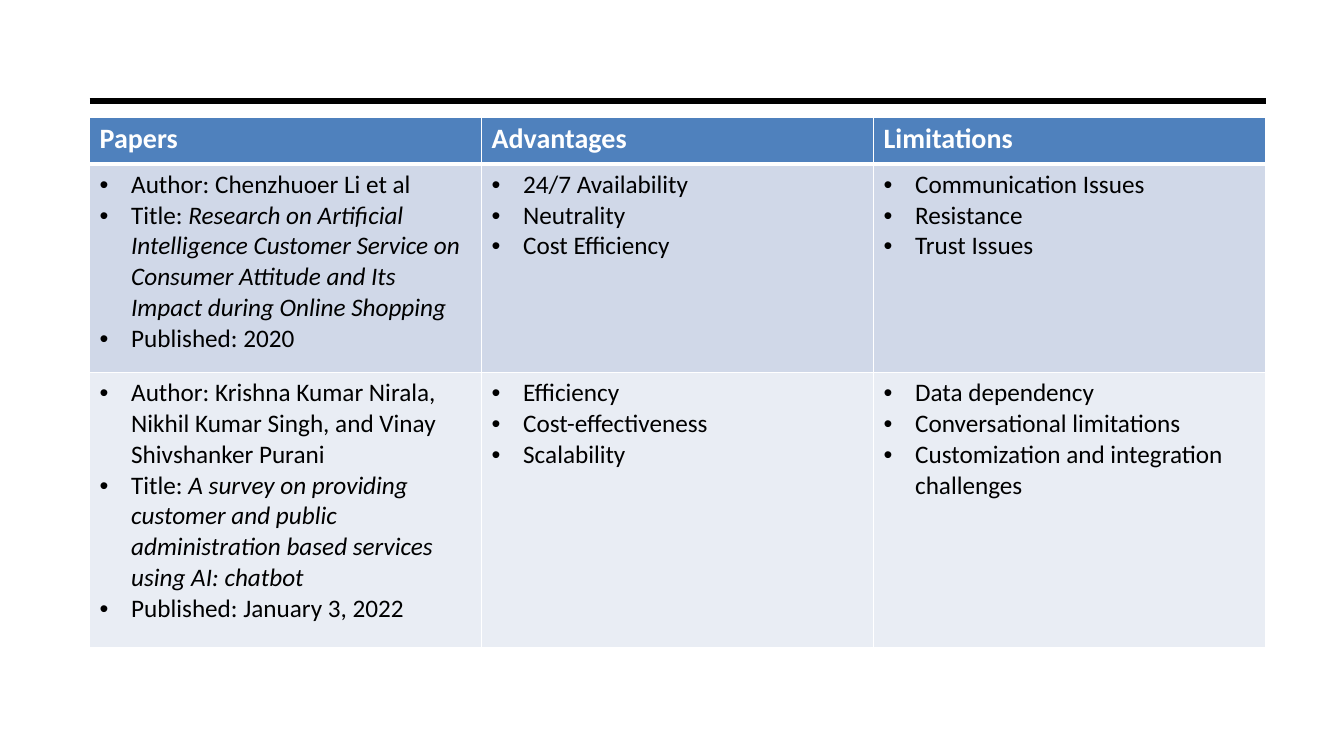
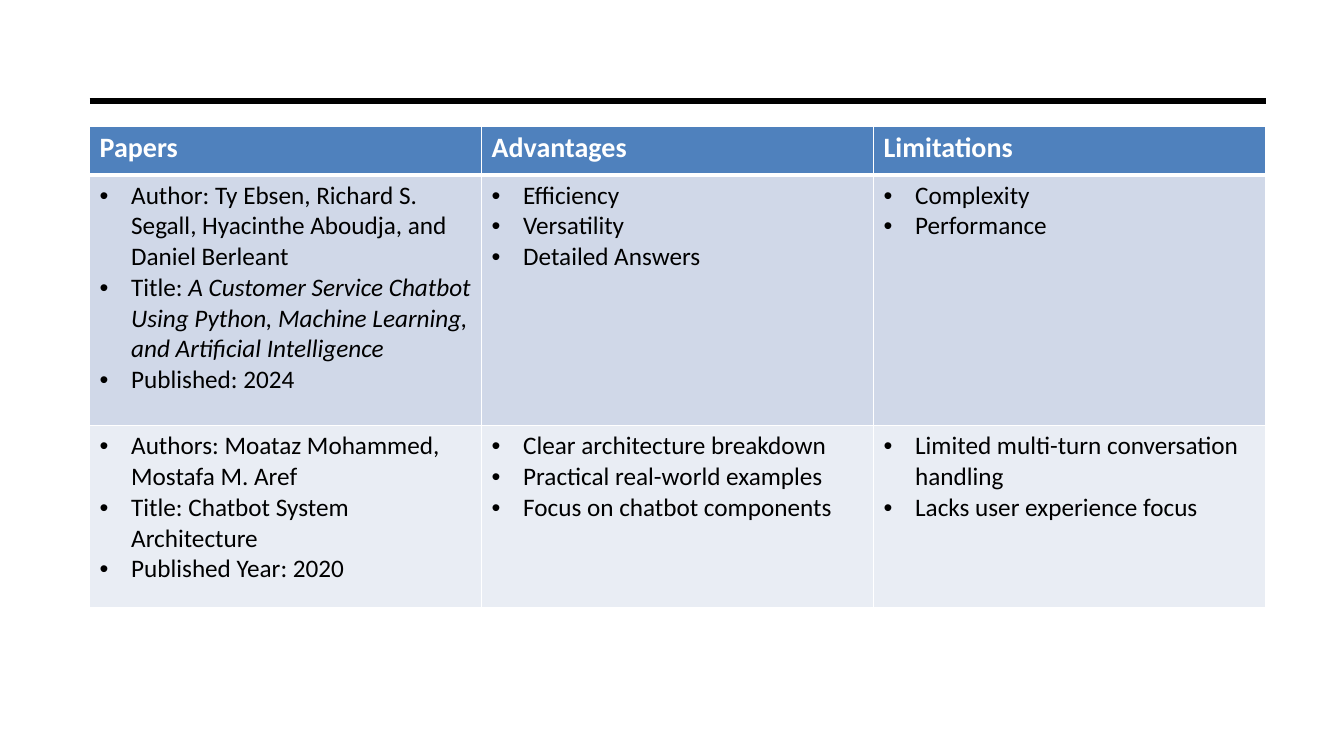
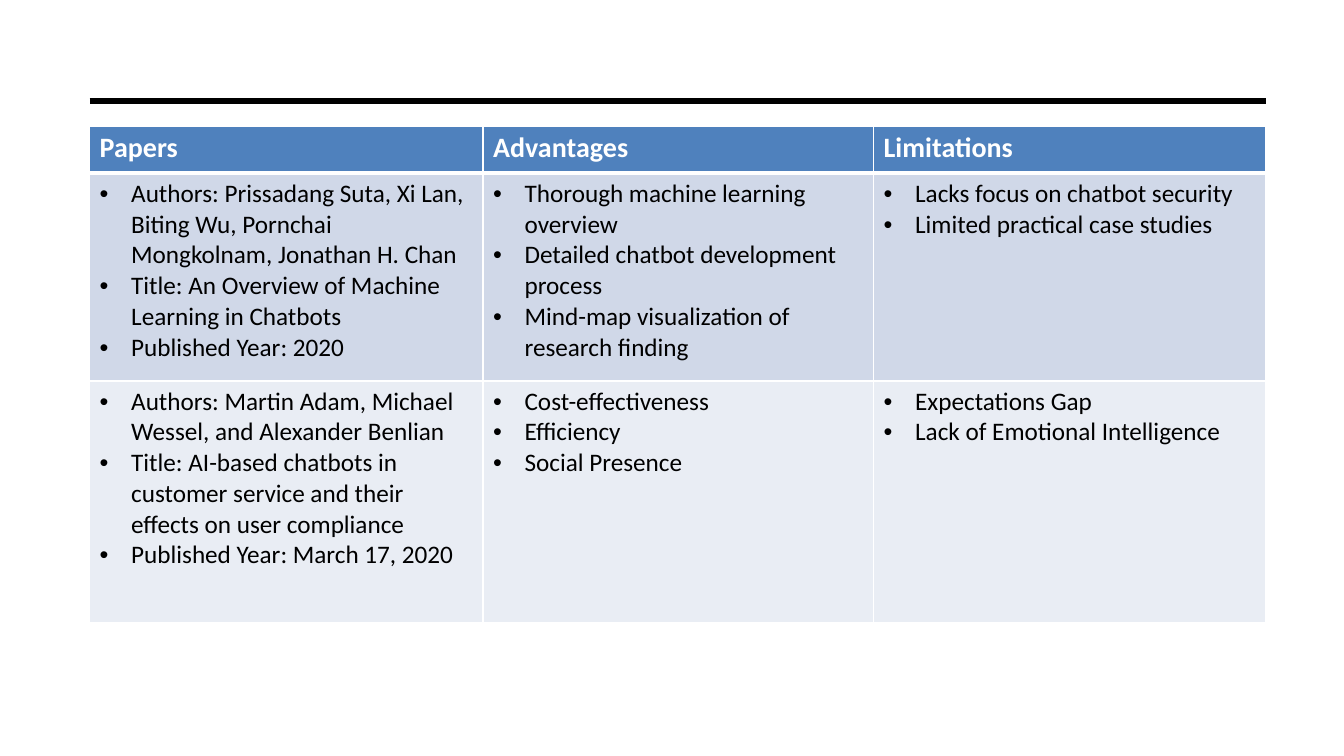
import pptx
import pptx.dml.color
import pptx.enum.shapes
import pptx.oxml
import pptx.oxml.ns
import pptx.util

Pt = pptx.util.Pt
RGBColor = pptx.dml.color.RGBColor

# Shared style
BLACK = RGBColor(0x00, 0x00, 0x00)
WHITE = RGBColor(0xFF, 0xFF, 0xFF)
HEADER_BLUE = RGBColor(0x4F, 0x81, 0xBD)
BAND_FILLS = (RGBColor(0xD0, 0xD8, 0xE8), RGBColor(0xE9, 0xED, 0xF4))
HEADER_FONT = {"name": "Calibri", "size": Pt(20), "bold": True, "italic": False}
BODY_FONT = {"name": "Calibri", "size": Pt(18), "bold": False, "italic": False}
LEFT, WIDTH, RULE_TOP = 64, 840, 72
BULLET_INDENT = 22.5
HEADINGS = ("Papers", "Advantages", "Limitations")


class SurveyDeck:
    """Holds the presentation, its style and the current slide."""

    def __init__(self):
        self.deck = pptx.Presentation()
        self.deck.slide_width, self.deck.slide_height = Pt(960), Pt(540)
        self.slide = None

    def new_slide(self):
        blank_layout = self.deck.slide_layouts[6]
        self.slide = self.deck.slides.add_slide(blank_layout)
        self.rule()

    def rule(self):
        rule = self.slide.shapes.add_connector(
            pptx.enum.shapes.MSO_CONNECTOR.STRAIGHT,
            Pt(LEFT), Pt(RULE_TOP), Pt(LEFT + WIDTH), Pt(RULE_TOP))
        rule.line.color.rgb = BLACK
        rule.line.width = Pt(4.5)
        rule._element.spPr.append(pptx.oxml.parse_xml(
            f"<a:effectLst {pptx.oxml.ns.nsdecls('a')}/>"))

    def run(self, paragraph, text, font_values, color):
        run = paragraph.add_run()
        run.text = text
        for attribute, value in font_values.items():
            setattr(run.font, attribute, value)
        run.font.color.rgb = color

    def cell_style(self, cell, fill, bottom_width=1):
        properties = cell._tc.get_or_add_tcPr()
        for side, width in (("L", 1), ("R", 1), ("T", 1), ("B", bottom_width)):
            properties.append(pptx.oxml.parse_xml(
                f"<a:ln{side} {pptx.oxml.ns.nsdecls('a')} w='{Pt(width)}'>"
                f"<a:solidFill><a:srgbClr val='{WHITE}'/></a:solidFill>"
                f"</a:ln{side}>"))
        cell.fill.solid()
        cell.fill.fore_color.rgb = fill

    def bullets(self, cell, items):
        """Each item is plain text, or a pair of plain and italic text."""
        frame = cell.text_frame
        for position, item in enumerate(items):
            paragraph = frame.add_paragraph() if position else frame.paragraphs[0]
            indent = paragraph._p.get_or_add_pPr()
            indent.set("marL", str(Pt(BULLET_INDENT)))
            indent.set("indent", str(-Pt(BULLET_INDENT)))
            for bullet in ("<a:buFont {} typeface='Arial'/>", "<a:buChar {} char='•'/>"):
                indent.append(pptx.oxml.parse_xml(
                    bullet.format(pptx.oxml.ns.nsdecls("a"))))
            plain, italic = (item, "") if isinstance(item, str) else item
            self.run(paragraph, plain, BODY_FONT, BLACK)
            if italic:
                self.run(paragraph, italic, {**BODY_FONT, "italic": True}, BLACK)

    def survey_table(self, top, row_heights, papers, column_widths=(280, 280, 280)):
        table = self.slide.shapes.add_table(
            len(row_heights), len(HEADINGS), Pt(LEFT), Pt(top),
            Pt(WIDTH), Pt(sum(row_heights))).table
        for column, width in zip(table.columns, column_widths):
            column.width = Pt(width)
        for row, height in zip(table.rows, row_heights):
            row.height = Pt(height)
        for column, heading in enumerate(HEADINGS):
            cell = table.cell(0, column)
            self.cell_style(cell, HEADER_BLUE, bottom_width=3)
            self.run(cell.text_frame.paragraphs[0], heading, HEADER_FONT, WHITE)
        for row, paper in enumerate(papers, start=1):
            for column, items in enumerate(paper):
                cell = table.cell(row, column)
                self.cell_style(cell, BAND_FILLS[(row - 1) % 2])
                self.bullets(cell, items)


survey = SurveyDeck()

# Slide 1: customer service and public administration
survey.new_slide()
survey.survey_table(83.5, (33.8, 149, 196.6), [
    (["Author: Chenzhuoer Li et al",
      ("Title: ", "Research on Artificial Intelligence Customer Service on "
                  "Consumer Attitude and Its Impact during Online Shopping"),
      "Published: 2020"],
     ["24/7 Availability", "Neutrality", "Cost Efficiency"],
     ["Communication Issues", "Resistance", "Trust Issues"]),
    (["Author: Krishna Kumar Nirala, Nikhil Kumar Singh, and Vinay Shivshanker Purani",
      ("Title: ", "A survey on providing customer and public administration "
                  "based services using AI: chatbot"),
      "Published: January 3, 2022"],
     ["Efficiency", "Cost-effectiveness", "Scalability"],
     ["Data dependency", "Conversational limitations",
      "Customization and integration challenges"]),
])

# Slide 2: building chatbots
survey.new_slide()
survey.survey_table(90, (35, 179.2, 130), [
    (["Author: Ty Ebsen, Richard S. Segall, Hyacinthe Aboudja, and Daniel Berleant",
      ("Title: ", "A Customer Service Chatbot Using Python, Machine Learning, "
                  "and Artificial Intelligence"),
      "Published: 2024"],
     ["Efficiency", "Versatility", "Detailed Answers"],
     ["Complexity", "Performance"]),
    (["Authors: Moataz Mohammed, Mostafa M. Aref",
      "Title: Chatbot System Architecture",
      "Published Year: 2020"],
     ["Clear architecture breakdown", "Practical real-world examples",
      "Focus on chatbot components"],
     ["Limited multi-turn conversation handling", "Lacks user experience focus"]),
])

# Slide 3: machine learning and user compliance
survey.new_slide()
survey.survey_table(90, (33.8, 148.4, 172.2), [
    (["Authors: Prissadang Suta, Xi Lan, Biting Wu, Pornchai Mongkolnam, "
      "Jonathan H. Chan",
      "Title: An Overview of Machine Learning in Chatbots",
      "Published Year: 2020"],
     ["Thorough machine learning overview", "Detailed chatbot development process",
      "Mind-map visualization of research finding"],
     ["Lacks focus on chatbot security", "Limited practical case studies"]),
    (["Authors: Martin Adam, Michael Wessel, and Alexander Benlian",
      "Title: AI-based chatbots in customer service and their effects on "
      "user compliance",
      "Published Year: March 17, 2020 "],
     ["Cost-effectiveness", "Efficiency", "Social Presence"],
     ["Expectations Gap", "Lack of Emotional Intelligence"]),
], column_widths=(281, 279, 280))

survey.deck.save("out.pptx")
